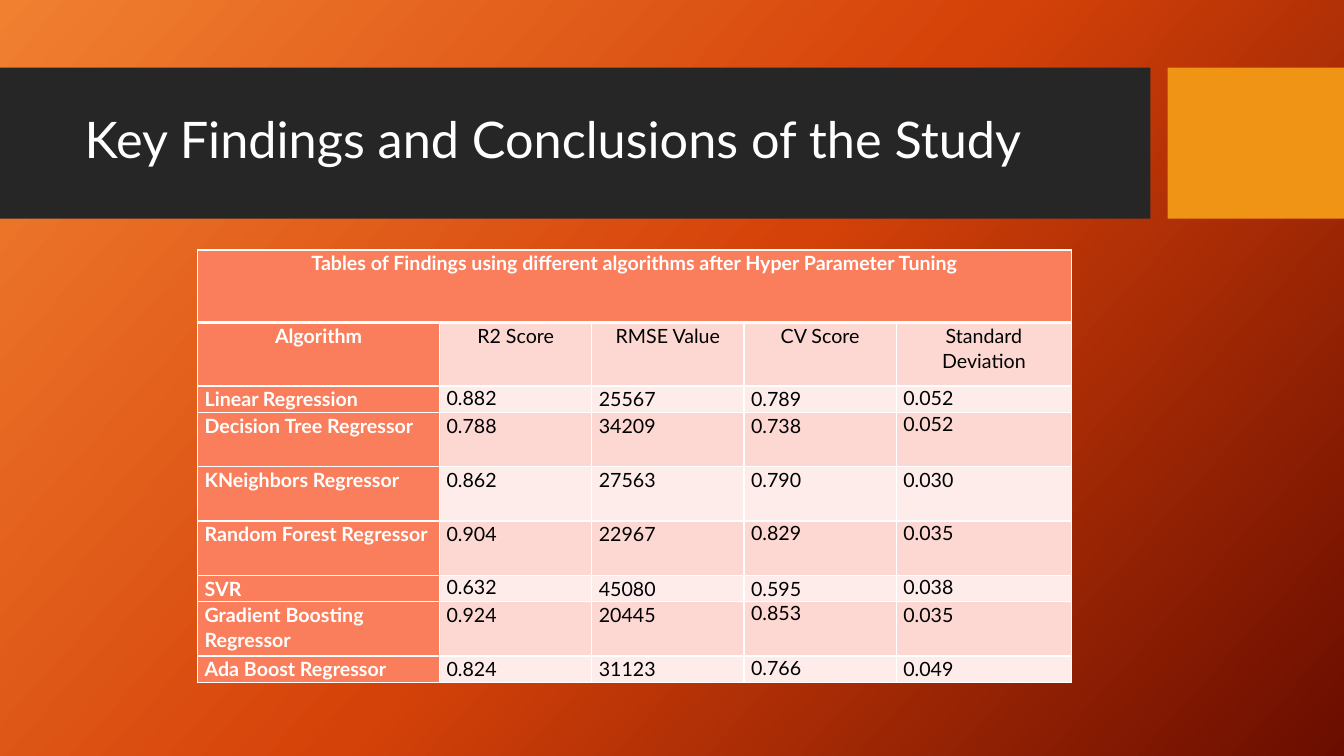
"""Build the slide with the table of tuned regression results."""
from pptx import Presentation
from pptx.dml.color import RGBColor
from pptx.enum.shapes import MSO_SHAPE
from pptx.enum.text import MSO_ANCHOR, PP_ALIGN
from pptx.oxml import parse_xml
from pptx.oxml.ns import nsdecls
from pptx.util import Inches, Pt

RECTANGLE = MSO_SHAPE.RECTANGLE
MIDDLE, TOP = MSO_ANCHOR.MIDDLE, MSO_ANCHOR.TOP
LEFT, CENTER = PP_ALIGN.LEFT, PP_ALIGN.CENTER
FONT = "Lato"
TITLE_ONLY = 5

COLORS = {
    "glow": "F18031",
    "flame": "D54209",
    "ember": "6A0D00",
    "band": "262626",
    "accent": "F09415",
    "header": "FA7E5C",
    "odd_row": "FDD8D2",
    "even_row": "FEECEA",
    "white": "FFFFFF",
    "black": "000000",
}

COLUMN_WIDTHS = [2.4, 1.51, 1.51, 1.51, 1.74]
ROW_HEIGHTS = [0.72, 0.63, 0.26, 0.54, 0.54, 0.54, 0.26, 0.54, 0.26]
FINDINGS = [
    ["Tables of Findings using different algorithms after Hyper Parameter Tuning", "", "", "", ""],
    ["Algorithm", "R2 Score", "RMSE Value", "CV Score", "Standard Deviation"],
    ["Linear Regression", "0.882", "25567", "0.789", "0.052"],
    ["Decision Tree Regressor", "0.788", "34209", "0.738", "0.052"],
    ["KNeighbors Regressor", "0.862", "27563", "0.790", "0.030"],
    ["Random Forest Regressor", "0.904", "22967", "0.829", "0.035"],
    ["SVR", "0.632", "45080", "0.595", "0.038"],
    ["Gradient Boosting Regressor", "0.924", "20445", "0.853", "0.035"],
    ["Ada Boost Regressor", "0.824", "31123", "0.766", "0.049"],
]
SINGLE_SPACED = {(2, 1), (2, 4), (3, 4), (5, 3), (5, 4), (6, 1), (6, 4), (7, 3), (8, 3)}


def style_text(paragraph, size, color, bold=False):
    for span in paragraph.runs:
        span.font.name = FONT
        span.font.size = Pt(size)
        span.font.bold = bold
        span.font.color.rgb = RGBColor.from_string(COLORS[color])


def add_borders(cell, widths):
    properties = cell._tc.get_or_add_tcPr()
    for position, (side, width) in enumerate(widths.items()):
        properties.insert(position, parse_xml(
            f'<a:ln{side} {nsdecls("a")} w="{Pt(width)}"><a:solidFill>'
            f'<a:srgbClr val="{COLORS["white"]}"/></a:solidFill></a:ln{side}>'))


deck = Presentation()
deck.slide_width = Inches(13.33)
deck.slide_height = Inches(7.5)
page = deck.slides.add_slide(deck.slide_layouts[TITLE_ONLY])

stops = "".join(
    f'<a:gs pos="{position * 1000}"><a:srgbClr val="{COLORS[name]}"/></a:gs>'
    for position, name in [(0, "glow"), (50, "flame"), (100, "ember")])
page.element.cSld.insert(0, parse_xml(
    f'<p:bg {nsdecls("p", "a")}><p:bgPr><a:gradFill rotWithShape="1"><a:gsLst>{stops}</a:gsLst>'
    f'<a:lin ang="{42 * 60000}" scaled="0"/></a:gradFill><a:effectLst/></p:bgPr></p:bg>'))

title = page.shapes.title
title.left, title.top = Inches(0.74), Inches(0.82)
title.width, title.height = Inches(10.51), Inches(1.18)
title.text_frame.text = "Key Findings and Conclusions of the Study"
title.text_frame.vertical_anchor = MIDDLE
title_line = title.text_frame.paragraphs[0]
title_line.alignment = LEFT
title_line.line_spacing = 0.9
style_text(title_line, 36, "white")

for left, width, color in [(0, 11.41, "band"), (11.58, 1.75, "accent")]:
    bar = page.shapes.add_shape(RECTANGLE, Inches(left), Inches(0.67), Inches(width), Inches(1.5))
    bar.shadow.inherit = False
    bar.fill.solid()
    bar.fill.fore_color.rgb = RGBColor.from_string(COLORS[color])
    bar.line.fill.background()
    title.element.addprevious(bar.element)

table = page.shapes.add_table(
    len(FINDINGS), len(COLUMN_WIDTHS), Inches(1.96), Inches(2.48),
    Inches(sum(COLUMN_WIDTHS)), Inches(sum(ROW_HEIGHTS))).table
for column, width in zip(table.columns, COLUMN_WIDTHS):
    column.width = Inches(width)
for row, height in zip(table.rows, ROW_HEIGHTS):
    row.height = Inches(height)
table.cell(0, 0).merge(table.cell(0, len(COLUMN_WIDTHS) - 1))

for row_index, values in enumerate(FINDINGS):
    for column_index, value in enumerate(values):
        cell = table.cell(row_index, column_index)
        is_header = row_index == 0 or column_index == 0
        band = "odd_row" if row_index % 2 else "even_row"
        cell.fill.solid()
        cell.fill.fore_color.rgb = RGBColor.from_string(COLORS["header" if is_header else band])
        cell.margin_left = cell.margin_right = Inches(0.07)
        cell.margin_top = cell.margin_bottom = 0
        cell.vertical_anchor = TOP
        add_borders(cell, {"L": 1, "R": 1, "T": 3 if row_index == 1 else 1,
                           "B": 3 if row_index == 0 else 1})
        cell.text_frame.text = value
        line = cell.text_frame.paragraphs[0]
        line.alignment = CENTER if row_index < 2 else LEFT
        line.line_spacing = 1.0 if (row_index, column_index) in SINGLE_SPACED else 1.07
        style_text(line, 14, "white" if is_header else "black", is_header)

deck.save("out.pptx")
